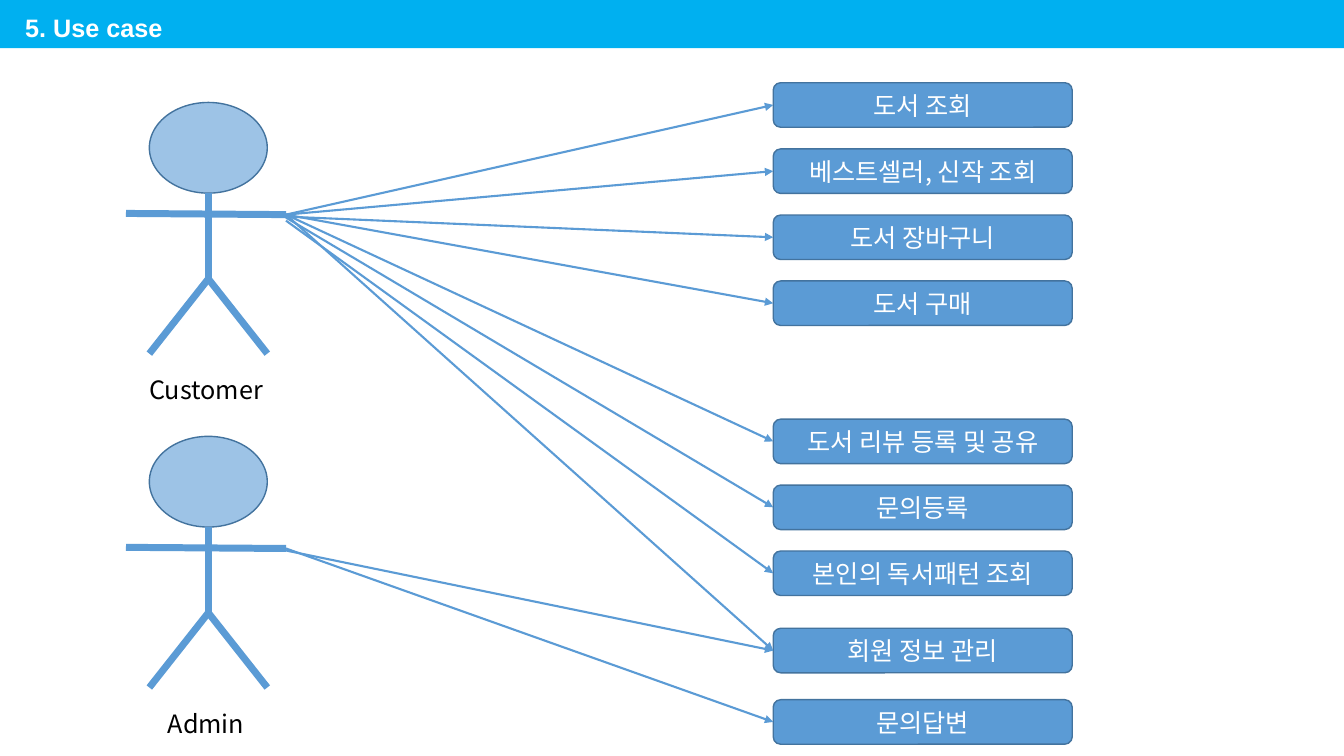
from lxml.etree import SubElement
from pptx import Presentation
from pptx.dml.color import RGBColor
from pptx.enum.shapes import MSO_CONNECTOR, MSO_SHAPE as SHAPE
from pptx.enum.text import MSO_ANCHOR as ANCHOR, MSO_AUTO_SIZE, PP_ALIGN as ALIGN
from pptx.oxml.ns import qn
from pptx.util import Inches, Pt

COLORS = {
    "banner": "00B0F0",
    "head": "9DC3E6",
    "main": "5B9BD5",
    "edge": "43739E",
    "white": "FFFFFF",
    "black": "000000",
}
COLUMNS, ROWS = 160, 90
LEFT_SIDE = 1

# Actor geometry, in grid columns and in rows below the actor's top
ACTOR_LEFT, ACTOR_WIDTH = 15, 19.05
HAND = ACTOR_LEFT + ACTOR_WIDTH
SPINE = 24.8
HEAD_WIDTH, HEAD_HEIGHT = 14.04, 10.8
ARM, HIP, FEET, NAME = 13.35, 21, 29.9, 31.8

ACTORS = {"Customer": 12.2, "Admin": 51.95}

CASE_TOPS = {
    "도서 조회": 9.85,
    "베스트셀러, 신작 조회": 17.73,
    "도서 장바구니": 25.6,
    "도서 구매": 33.45,
    "도서 리뷰 등록 및 공유": 49.9,
    "문의등록": 57.75,
    "본인의 독서패턴 조회": 65.6,
    "회원 정보 관리": 74.8,
    "문의답변": 83.3,
}

# Actor, use case, rows below the hand at which the arrow starts
USES = [
    ("Customer", "도서 조회", 0),
    ("Customer", "베스트셀러, 신작 조회", 0),
    ("Customer", "도서 장바구니", 0.24),
    ("Customer", "도서 구매", 0),
    ("Customer", "도서 리뷰 등록 및 공유", 0),
    ("Customer", "문의등록", 0.36),
    ("Customer", "본인의 독서패턴 조회", 0.72),
    ("Customer", "회원 정보 관리", 0),
    ("Admin", "문의답변", 0),
    ("Admin", "회원 정보 관리", 0.24),
]


def rgb(name):
    return RGBColor.from_string(COLORS[name])


class Diagram:
    """Draws on one slide, with lengths in grid columns and rows."""

    def __init__(self, deck):
        self.width, self.height = deck.slide_width, deck.slide_height
        self.slide = deck.slides.add_slide(deck.slide_layouts[5])
        self.shapes = self.slide.shapes

    def x(self, columns):
        return round(self.width * columns / COLUMNS)

    def y(self, rows):
        return round(self.height * rows / ROWS)

    def area(self, left, top, width, height):
        return self.x(left), self.y(top), self.x(width), self.y(height)

    def label(self, shape, text, color, font="Noto Sans CJK KR", align=ALIGN.CENTER,
              anchor=ANCHOR.MIDDLE, bold=False):
        frame = shape.text_frame
        frame.text = text
        frame.word_wrap = True
        frame.vertical_anchor = anchor
        paragraph = frame.paragraphs[0]
        paragraph.alignment = align
        style = paragraph.font
        style.size, style.bold, style.name = Pt(18), bold, font
        style.color.rgb = rgb(color)
        east_asian = SubElement(paragraph._p.pPr.find(qn("a:defRPr")), qn("a:ea"))
        east_asian.set("typeface", font)

    def shape(self, kind, area, fill, edge=None, parent=None):
        shape = (parent or self.shapes).add_shape(kind, *self.area(*area))
        shape.shadow.inherit = False
        shape.fill.solid()
        shape.fill.fore_color.rgb = rgb(fill)
        if edge:
            shape.line.color.rgb = rgb(edge)
            shape.line.width = Pt(1)
        else:
            shape.line.fill.background()
        return shape

    def line(self, start, end, weight, parent=None):
        line = (parent or self.shapes).add_connector(
            MSO_CONNECTOR.STRAIGHT, self.x(start[0]), self.y(start[1]),
            self.x(end[0]), self.y(end[1]))
        line.line.color.rgb = rgb("main")
        line.line.width = Pt(weight)
        SubElement(line._element.spPr, qn("a:effectLst"))
        return line

    def banner(self, text):
        bar = self.shape(SHAPE.RECTANGLE, (0, 0, COLUMNS, 5.73), "banner")
        title = self.shapes.title
        title._element.addprevious(bar._element)
        title.left, title.top, title.width, title.height = self.area(1.8, 0.84, 58, 4.8)
        self.label(title, text, "white", "Arial", ALIGN.LEFT, ANCHOR.TOP, bold=True)
        title.text_frame.auto_size = MSO_AUTO_SIZE.NONE

    def actor(self, name, top):
        # An empty group is falsy, so the head goes in through the group itself
        figure = self.shapes.add_group_shape()
        limbs = figure.shapes
        head_left = SPINE - HEAD_WIDTH / 2
        head = self.shape(SHAPE.OVAL, (head_left, top, HEAD_WIDTH, HEAD_HEIGHT),
                          "head", "edge")
        figure._element.append(head._element)
        hip = (SPINE, top + HIP)
        self.line((SPINE, top + HEAD_HEIGHT), hip, 5, limbs)
        for foot in (head_left + HEAD_WIDTH, head_left):
            self.line(hip, (foot, top + FEET), 5, limbs)
        self.line((HAND, top + ARM), (ACTOR_LEFT, top + ARM - 0.14), 5, limbs)
        caption = self.shape(SHAPE.RECTANGLE, (ACTOR_LEFT, top + NAME, ACTOR_WIDTH, 4.7),
                             "white", "white")
        self.label(caption, name, "black")

    def use_case(self, text, top):
        case = self.shape(SHAPE.ROUNDED_RECTANGLE, (92.05, top, 35.6, 5.3), "main", "edge")
        self.label(case, text, "white")
        return case

    def arrow(self, start, case):
        arrow = self.line(start, start, 1.5)
        arrow.end_connect(case, LEFT_SIDE)
        SubElement(arrow.line._get_or_add_ln(), qn("a:tailEnd")).set("type", "triangle")


def main():
    deck = Presentation()
    deck.slide_width, deck.slide_height = Inches(13.33), Inches(7.5)
    diagram = Diagram(deck)
    diagram.banner("5. Use case")
    for name, top in ACTORS.items():
        diagram.actor(name, top)
    cases = {text: diagram.use_case(text, top) for text, top in CASE_TOPS.items()}
    for name, text, drop in USES:
        diagram.arrow((HAND, ACTORS[name] + ARM + drop), cases[text])
    deck.save("out.pptx")


if __name__ == "__main__":
    main()
